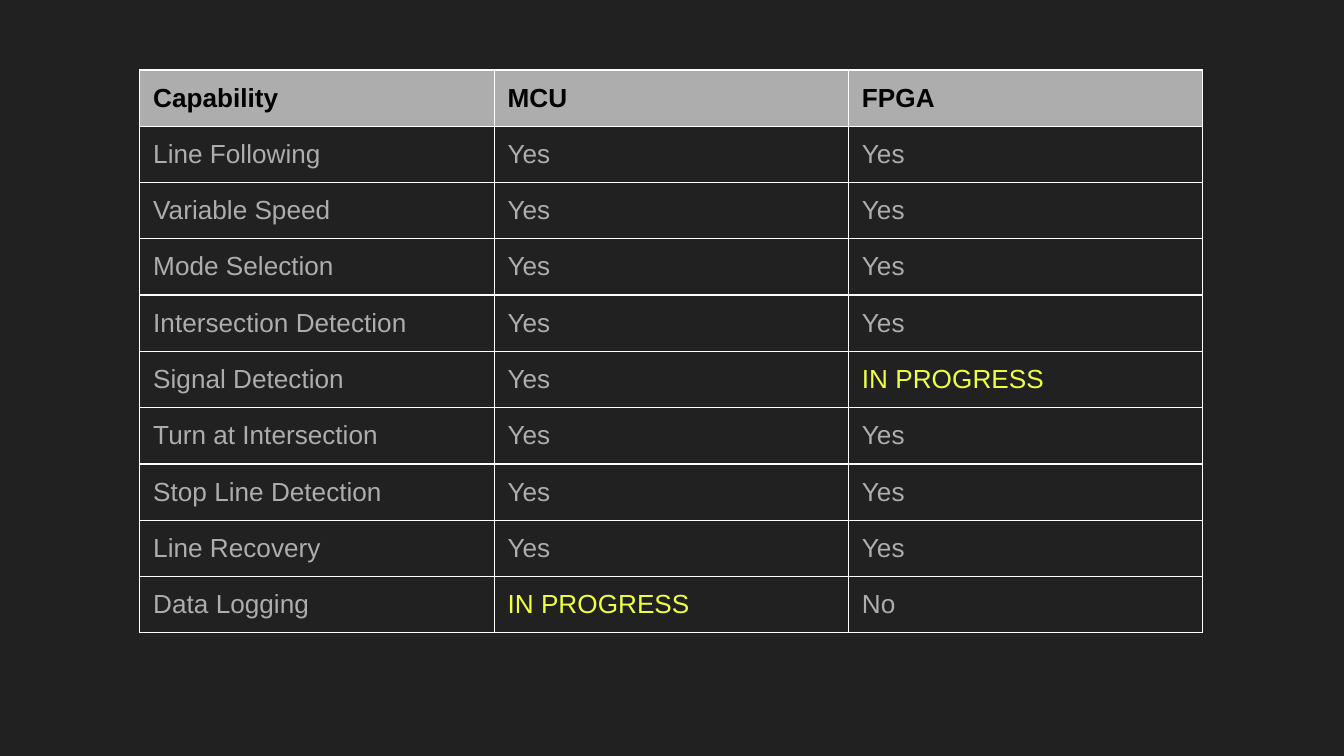
from lxml import etree
from pptx import Presentation
from pptx.dml.color import RGBColor
from pptx.oxml import ns
from pptx.util import Inches, Pt

WIDE = Inches(10)
HIGH = WIDE * 9 // 16
HUES = {"back": "212121", "grey": "ADADAD", "head": "000000",
        "line": "FFFFFF", "alert": "EEFF41"}
BUSY = "IN PROGRESS"
HEADS = ("Capability", "MCU", "FPGA")
SKILLS = ("Line Following", "Variable Speed", "Mode Selection",
          "Intersection Detection", "Signal Detection", "Turn at Intersection",
          "Stop Line Detection", "Line Recovery", "Data Logging")
STATES = {"Signal Detection": ("Yes", BUSY), "Data Logging": (BUSY, "No")}


def hue(name):
    return RGBColor.from_string(HUES[name])


def add_edges(cell):
    props = cell._tc.get_or_add_tcPr()
    for side in ("lnL", "lnR", "lnT", "lnB"):
        edge = etree.SubElement(props, ns.qn(f"a:{side}"), w=str(Pt(0.75)))
        fill = etree.SubElement(edge, ns.qn("a:solidFill"))
        etree.SubElement(fill, ns.qn("a:srgbClr"), val=HUES["line"])


def fill_cell(cell, words, head):
    add_edges(cell)
    if head:
        cell.fill.solid()
        cell.fill.fore_color.rgb = hue("grey")
    else:
        cell.fill.background()
    cell.margin_left = cell.margin_right = Inches(0.1)
    cell.margin_top = cell.margin_bottom = Inches(0.1)
    run = cell.text_frame.paragraphs[0].add_run()
    run.text = words
    font = run.font
    font.name, font.size, font.bold = "Arial", Pt(14), head
    font.color.rgb = hue("head" if head else "alert" if words == BUSY else "grey")


def add_grid(slide, box):
    """Place the capability table in box, with equal columns and rows."""
    rows = [HEADS] + [(skill, *STATES.get(skill, ("Yes", "Yes"))) for skill in SKILLS]
    table = slide.shapes.add_table(len(rows), len(HEADS), *box).table
    table.horz_banding = False
    for r, row in enumerate(rows):
        for c, words in enumerate(row):
            fill_cell(table.cell(r, c), words, r == 0)


def main():
    deck = Presentation()
    deck.slide_width, deck.slide_height = WIDE, HIGH
    slide = deck.slides.add_slide(deck.slide_layouts[6])
    slide.background.fill.solid()
    slide.background.fill.fore_color.rgb = hue("back")
    add_grid(slide, (Inches(1.04), Inches(0.52), Inches(7.91), Inches(4.18)))
    deck.save("out.pptx")


if __name__ == "__main__":
    main()
